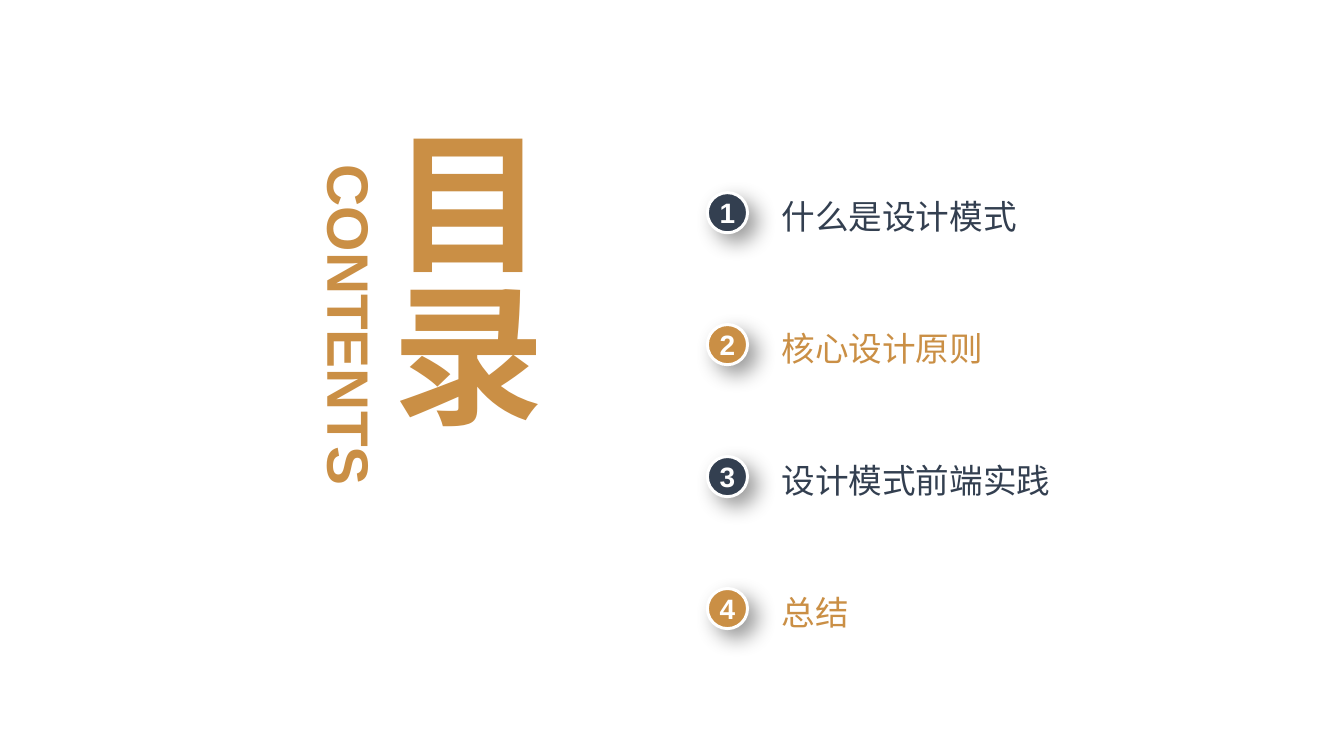
from lxml.etree import SubElement
from pptx import Presentation
from pptx.dml.color import RGBColor
from pptx.enum.shapes import MSO_SHAPE
from pptx.enum.text import MSO_ANCHOR, PP_ALIGN
from pptx.oxml.ns import qn
from pptx.util import Pt

NAVY = RGBColor(0x33, 0x3F, 0x50)
GOLD = RGBColor(0xCA, 0x8F, 0x45)
WHITE = RGBColor(0xFF, 0xFF, 0xFF)
FONT = "Arial"

TITLE = "目录"
SUBTITLE = "CONTENTS"
# topic, label width
TOPICS = [
    ("什么是设计模式", 178),
    ("核心设计原则", 263.5),
    ("设计模式前端实践", 366),
    ("总结", 292.5),
]

WIDTH, HEIGHT = 1012.32, 569.52
DOT_X, LABEL_X = 532.8, 588.6
TOP, STEP = 145.1, 99.4
DOT, LABEL_H, LABEL_DROP = 30.25, 31, 2.25


def write(shape, text, size, color, bold=False, align=PP_ALIGN.LEFT,
          anchor=MSO_ANCHOR.MIDDLE, vert=None):
    frame = shape.text_frame
    frame.word_wrap = True
    frame.vertical_anchor = anchor
    frame.margin_left = frame.margin_right = 0
    frame.margin_top = frame.margin_bottom = 0
    if vert:
        frame._txBody.bodyPr.set("vert", vert)
    line = frame.paragraphs[0]
    line.alignment = align
    run = line.add_run()
    run.text = text
    font = run.font
    font.size, font.bold, font.name = Pt(size), bold, FONT
    font.color.rgb = color
    SubElement(run._r.get_or_add_rPr(), qn("a:ea"), typeface=FONT)


def add_box(slide, x, y, width, height):
    return slide.shapes.add_textbox(Pt(x), Pt(y), Pt(width), Pt(height))


def cast_shadow(shape):
    """Give the shape a soft black shadow to the lower right."""
    shape.shadow.inherit = False
    effects = shape._element.spPr.find(qn("a:effectLst"))
    outer = SubElement(effects, qn("a:outerShdw"), blurRad=str(Pt(16)),
                       dist=str(Pt(9)), dir="2700000", algn="tl",
                       rotWithShape="0")
    black = SubElement(outer, qn("a:srgbClr"), val="000000")
    SubElement(black, qn("a:alpha"), val="40000")


def add_dot(slide, y, number, color):
    dot = slide.shapes.add_shape(MSO_SHAPE.OVAL, Pt(DOT_X), Pt(y),
                                 Pt(DOT), Pt(DOT))
    dot.fill.solid()
    dot.fill.fore_color.rgb = color
    dot.line.color.rgb = WHITE
    dot.line.width = Pt(2.25)
    cast_shadow(dot)
    write(dot, str(number), 21.1, WHITE, bold=True, align=PP_ALIGN.CENTER)


def add_label(slide, y, width, topic, color):
    """Set the topic in a clear outline beside its dot."""
    left, right = Pt(LABEL_X), Pt(LABEL_X + width)
    top, bottom = Pt(y), Pt(y + LABEL_H)
    outline = slide.shapes.build_freeform(left, top)
    outline.add_line_segments([(right, top), (right, bottom), (left, bottom)])
    label = outline.convert_to_shape()
    label.fill.background()
    label.line.fill.background()
    label.shadow.inherit = False
    write(label, topic, 25.3, color)


def main():
    deck = Presentation()
    deck.slide_width, deck.slide_height = Pt(WIDTH), Pt(HEIGHT)
    slide = deck.slides.add_slide(deck.slide_layouts[6])

    for i, (topic, width) in enumerate(TOPICS):
        y = TOP + i * STEP
        color = GOLD if i % 2 else NAVY
        add_dot(slide, y, i + 1, color)
        add_label(slide, y + LABEL_DROP, width, topic, color)

    title = add_box(slide, 279.5, 95, 139.75, 298.75)
    write(title, TITLE, 115, GOLD, bold=True, vert="eaVert")

    subtitle = add_box(slide, 134, 218.25, 260, 53.25)
    subtitle.rotation = 90
    write(subtitle, SUBTITLE, 44, GOLD, bold=True, align=PP_ALIGN.CENTER,
          anchor=MSO_ANCHOR.TOP)

    deck.save("out.pptx")


if __name__ == "__main__":
    main()
